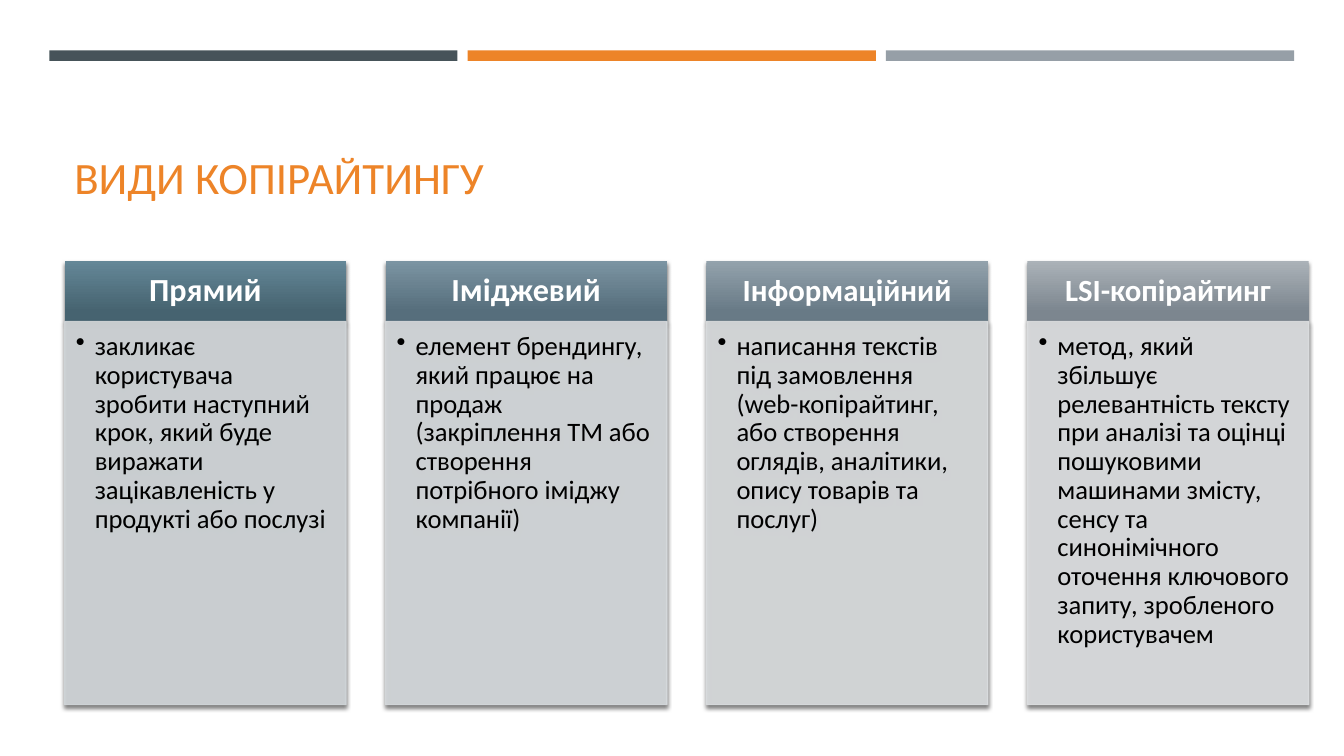
from lxml.etree import SubElement
from pptx import Presentation
from pptx.dml.color import RGBColor
from pptx.enum.shapes import MSO_SHAPE
from pptx.enum.text import MSO_ANCHOR, PP_ALIGN
from pptx.oxml.ns import qn
from pptx.util import Pt


def rgb(value):
    return RGBColor.from_string(value)


def add_card(left, top, width, height):
    """Add a rectangle with a soft shadow below it."""
    sp = s.shapes.add_shape(MSO_SHAPE.RECTANGLE, Pt(left), Pt(top), Pt(width), Pt(height))
    sp.line.fill.background()
    sp.shadow.inherit = False
    effects = sp._element.spPr.find(qn("a:effectLst"))
    shadow = SubElement(effects, qn("a:outerShdw"), blurRad=str(Pt(3)), dist=str(Pt(2)),
                        dir="5400000", rotWithShape="0")
    color = SubElement(shadow, qn("a:srgbClr"), val="000000")
    SubElement(color, qn("a:alpha"), val="55000")
    return sp


prs = Presentation()
prs.slide_width, prs.slide_height = Pt(960), Pt(540)
s = prs.slides.add_slide(prs.slide_layouts[6])

# Top bars
for i, color in enumerate(["465359", "ED8428", "969FA7"]):
    sp = s.shapes.add_shape(MSO_SHAPE.RECTANGLE, Pt(35.2 + 298.8 * i), Pt(36), Pt(291.6), Pt(7.5))
    sp.shadow.inherit = False
    sp.fill.solid()
    sp.fill.fore_color.rgb = rgb(color)
    sp.line.fill.background()

# Title
tf = s.shapes.add_textbox(Pt(46), Pt(55.4), Pt(868.3), Pt(93.6)).text_frame
tf.word_wrap = True
tf.vertical_anchor = MSO_ANCHOR.BOTTOM
r = tf.paragraphs[0].add_run()
r.text = "ВИДИ КОПІРАЙТИНГУ"
r.font.name, r.font.size = "Calibri", Pt(32)
r.font.color.rgb = rgb("ED8428")

# Columns: heading, size, gradient top, gradient bottom, body fill, description
columns = [
    ("Прямий", 23, "648797", "466370", "D1D6D9",
     "закликає користувача зробити наступний крок, який буде виражати "
     "зацікавленість у продукті або послузі"),
    ("Іміджевий", 23, "7B94A2", "566E7C", "D5D9DC",
     "елемент брендингу, який працює на продаж (закріплення ТМ або створення "
     "потрібного іміджу компанії)"),
    ("Інформаційний", 22, "93A2AC", "687A86", "D9DCDE",
     "написання текстів під замовлення (web-копірайтинг, або створення оглядів, "
     "аналітики, опису товарів та послуг)"),
    ("LSI-копірайтинг", 22, "ABB2B8", "7C868F", "DDDFE1",
     "метод, який збільшує релевантність тексту при аналізі та оцінці пошуковими "
     "машинами змісту, сенсу та синонімічного оточення ключового запиту, "
     "зробленого користувачем"),
]
for i, (heading, size, light, dark, body, description) in enumerate(columns):
    left = 46.2 + 229.2 * i

    # Heading card
    head = add_card(left, 186.5, 201, 43.2)
    head.fill.gradient()
    head.fill.gradient_angle = 270
    for stop, color, position in zip(head.fill.gradient_stops, (light, dark), (0, 0.84)):
        stop.color.rgb = rgb(color)
        stop.position = position

    # Description card
    card = add_card(left, 229.7, 201, 273.6)
    card.fill.solid()
    card.fill.fore_color.rgb = rgb(body)
    card.line.color.rgb = rgb(body)
    card.line.width = Pt(1)
    for color in card._element.spPr.findall(".//" + qn("a:solidFill") + "/" + qn("a:srgbClr")):
        SubElement(color, qn("a:alpha"), val="90000")

    # Text of both cards
    for sp, text, font_size, color, insets, anchor, align in (
        (head, heading, size, "FFFFFF", (12.6, 7.2, 12.6, 7.2), MSO_ANCHOR.MIDDLE, PP_ALIGN.CENTER),
        (card, description, 19, "000000", (8, 8, 10.7, 12), MSO_ANCHOR.TOP, PP_ALIGN.LEFT),
    ):
        tf = sp.text_frame
        tf.word_wrap = True
        tf.vertical_anchor = anchor
        tf.margin_left, tf.margin_top, tf.margin_right, tf.margin_bottom = map(Pt, insets)
        p = tf.paragraphs[0]
        p.alignment = align
        p.line_spacing = 0.9
        if sp is card:
            pPr = p._p.get_or_add_pPr()
            pPr.set("marL", str(Pt(13.5)))
            pPr.set("indent", str(-Pt(13.5)))
            SubElement(pPr, qn("a:buChar"), char="•")
        r = p.add_run()
        r.text = text
        r.font.name, r.font.size = "Calibri", Pt(font_size)
        r.font.bold = sp is head
        r.font.color.rgb = rgb(color)

prs.save("out.pptx")
